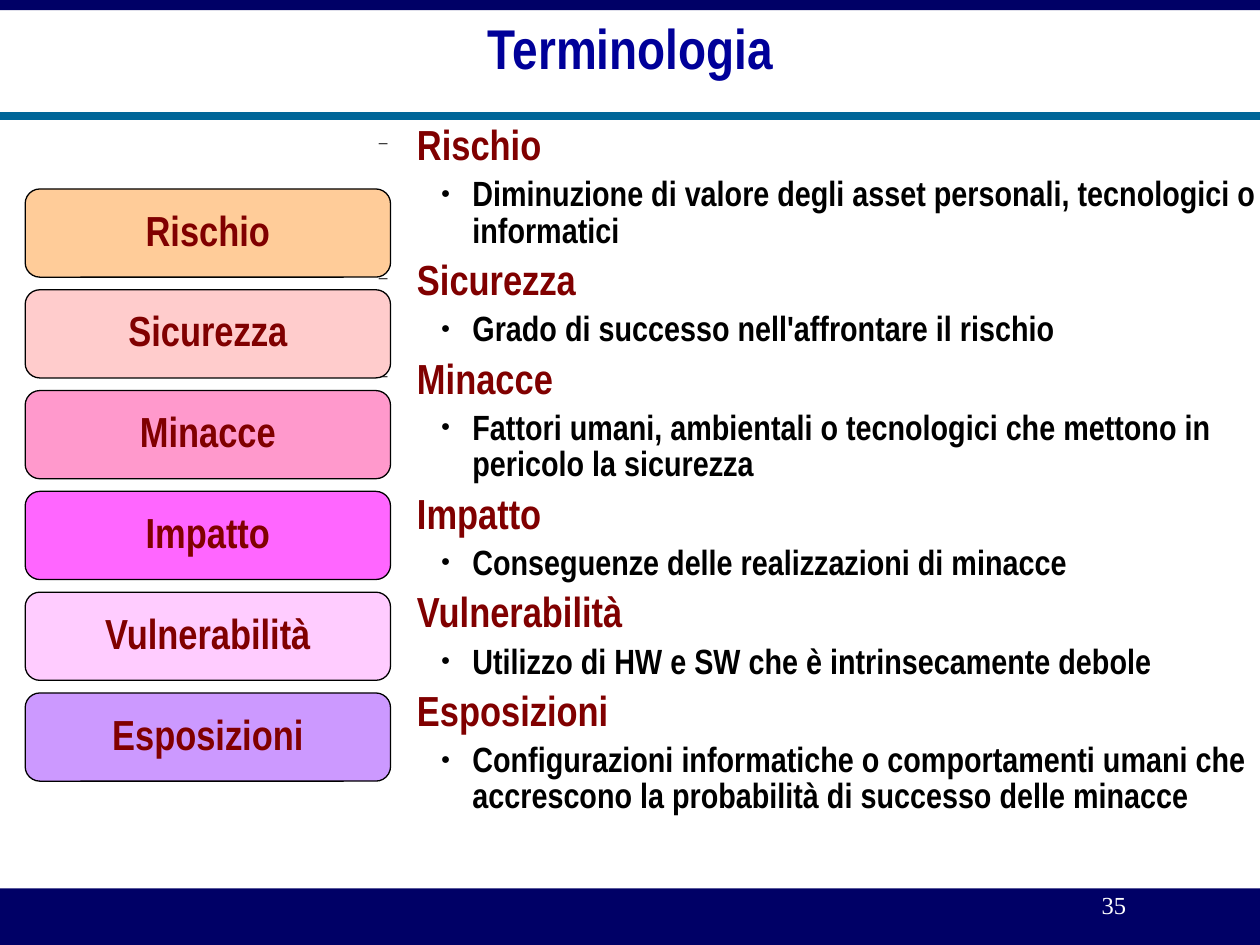
from lxml.etree import SubElement
from pptx import Presentation
from pptx.dml.color import RGBColor
from pptx.enum.shapes import MSO_CONNECTOR, MSO_SHAPE
from pptx.enum.text import MSO_ANCHOR, PP_ALIGN
from pptx.oxml.ns import qn
from pptx.util import Inches, Pt

TITLE = "Terminologia"
PAGE_NUMBER = "35"
TERMS = [
    ("Rischio", "FFCC99", "Diminuzione di valore degli asset personali, tecnologici o informatici"),
    ("Sicurezza", "FFCCCC", "Grado di successo nell'affrontare il rischio"),
    ("Minacce", "FF99CC", "Fattori umani, ambientali o tecnologici che mettono in pericolo la sicurezza"),
    ("Impatto", "FF66FF", "Conseguenze delle realizzazioni di minacce"),
    ("Vulnerabilità", "FFCCFF", "Utilizzo di HW e SW che è intrinsecamente debole"),
    ("Esposizioni", "CC99FF",
     "Configurazioni informatiche o comportamenti umani che accrescono la probabilità di successo delle minacce"),
]
NAVY, TEAL, BLUE, MAROON, BLACK, WHITE = "000066", "006699", "000099", "800000", "000000", "FFFFFF"
HEADING = {"size": 24, "color": MAROON}
DETAIL = {"size": 20, "color": BLACK}
HEADING_BULLET = {"char": "−", "left": 0.81, "hang": 0.31}
DETAIL_BULLET = {"char": "●", "left": 1.25, "hang": 0.25}
BOX_LEFT, BOX_TOP, BOX_WIDTH, BOX_HEIGHT, BOX_STEP = 0.2, 1.5, 2.9, 0.7, 0.8


def rgb(color):
    """Turn a hex string into a colour."""
    return RGBColor.from_string(color)


def place(left, top, width, height):
    """Convert a rectangle given in inches."""
    return [Inches(value) for value in (left, top, width, height)]


def prepare(frame, anchor, wrap=True, side=0, edge=0):
    """Set the margins, anchor and wrapping of a text frame."""
    frame.margin_left = frame.margin_right = Inches(side)
    frame.margin_top = frame.margin_bottom = Inches(edge)
    frame.vertical_anchor = anchor
    frame.word_wrap = wrap


def write(para, text, size, color, font="Arial Narrow", bold=True, align=PP_ALIGN.CENTER):
    """Add one formatted run to a paragraph."""
    para.alignment = align
    para.line_spacing = 0.86
    span = para.add_run()
    span.text = text
    span.font.name = font
    span.font.size = Pt(size)
    span.font.bold = bold
    span.font.color.rgb = rgb(color)


def add_bullet(para, char, left, hang):
    """Give a paragraph a small black bullet and a hanging indent."""
    props = para._p.get_or_add_pPr()
    props.set("marL", str(Inches(left)))
    props.set("indent", str(-Inches(hang)))
    SubElement(SubElement(props, qn("a:buClr")), qn("a:srgbClr"), val=BLACK)
    SubElement(props, qn("a:buSzPct"), val="45000")
    SubElement(props, qn("a:buFont"), typeface="Times New Roman")
    SubElement(props, qn("a:buChar"), char=char)


def add_block(page, kind, bounds, fill):
    """Add a filled shape without line or shadow."""
    block = page.shapes.add_shape(kind, *place(*bounds))
    block.shadow.inherit = False
    block.fill.solid()
    block.fill.fore_color.rgb = rgb(fill)
    block.line.fill.background()
    return block


def add_frame(page):
    """Add the title, the bars, the rule and the page number."""
    for top, height in ((7.05, 0.45), (0, 0.08)):
        add_block(page, MSO_SHAPE.RECTANGLE, (0, top, 10, height), NAVY)
    rule = page.shapes.add_connector(MSO_CONNECTOR.STRAIGHT, *place(0, 0.92, 10, 0.92))
    rule.line.color.rgb = rgb(TEAL)
    rule.line.width = Pt(4.5)
    SubElement(rule._element.spPr, qn("a:effectLst"))

    number = page.shapes.add_textbox(*place(7.8, 7.05, 2.08, 0.33)).text_frame
    prepare(number, MSO_ANCHOR.TOP, side=0.1, edge=0.05)
    write(number.paragraphs[0], PAGE_NUMBER, 14, WHITE, font="Times New Roman", bold=False)

    title = page.shapes.title
    title.left, title.top, title.width, title.height = place(0.42, 0, 9.17, 0.83)
    prepare(title.text_frame, MSO_ANCHOR.MIDDLE)
    write(title.text_frame.paragraphs[0], TITLE, 32, BLUE)


def add_definitions(page):
    """Add the list of terms with their definitions."""
    frame = page.shapes.add_textbox(*place(2.5, 1, 7.5, 6)).text_frame
    prepare(frame, MSO_ANCHOR.TOP)
    for index, (term, _, definition) in enumerate(TERMS):
        heading = frame.add_paragraph() if index else frame.paragraphs[0]
        heading.space_before = Pt(6 if index else 0)
        detail = frame.add_paragraph()
        detail.space_before = Pt(5)
        add_bullet(heading, **HEADING_BULLET)
        add_bullet(detail, **DETAIL_BULLET)
        write(heading, term, align=PP_ALIGN.LEFT, **HEADING)
        write(detail, definition, align=PP_ALIGN.LEFT, **DETAIL)


def add_term_boxes(page):
    """Stack one rounded box per term."""
    for index, (term, fill, _) in enumerate(TERMS):
        bounds = (BOX_LEFT, BOX_TOP + index * BOX_STEP, BOX_WIDTH, BOX_HEIGHT)
        box = add_block(page, MSO_SHAPE.ROUNDED_RECTANGLE, bounds, fill)
        box.line.color.rgb = rgb(BLACK)
        box.line.width = Pt(0)
        prepare(box.text_frame, MSO_ANCHOR.MIDDLE, wrap=False)
        write(box.text_frame.paragraphs[0], term, **HEADING)


def main():
    """Build and save the slide."""
    deck = Presentation()
    deck.slide_width, deck.slide_height = Inches(10), Inches(7.5)
    page = deck.slides.add_slide(deck.slide_layouts[5])
    add_frame(page)
    add_definitions(page)
    add_term_boxes(page)
    deck.save("out.pptx")


if __name__ == "__main__":
    main()
